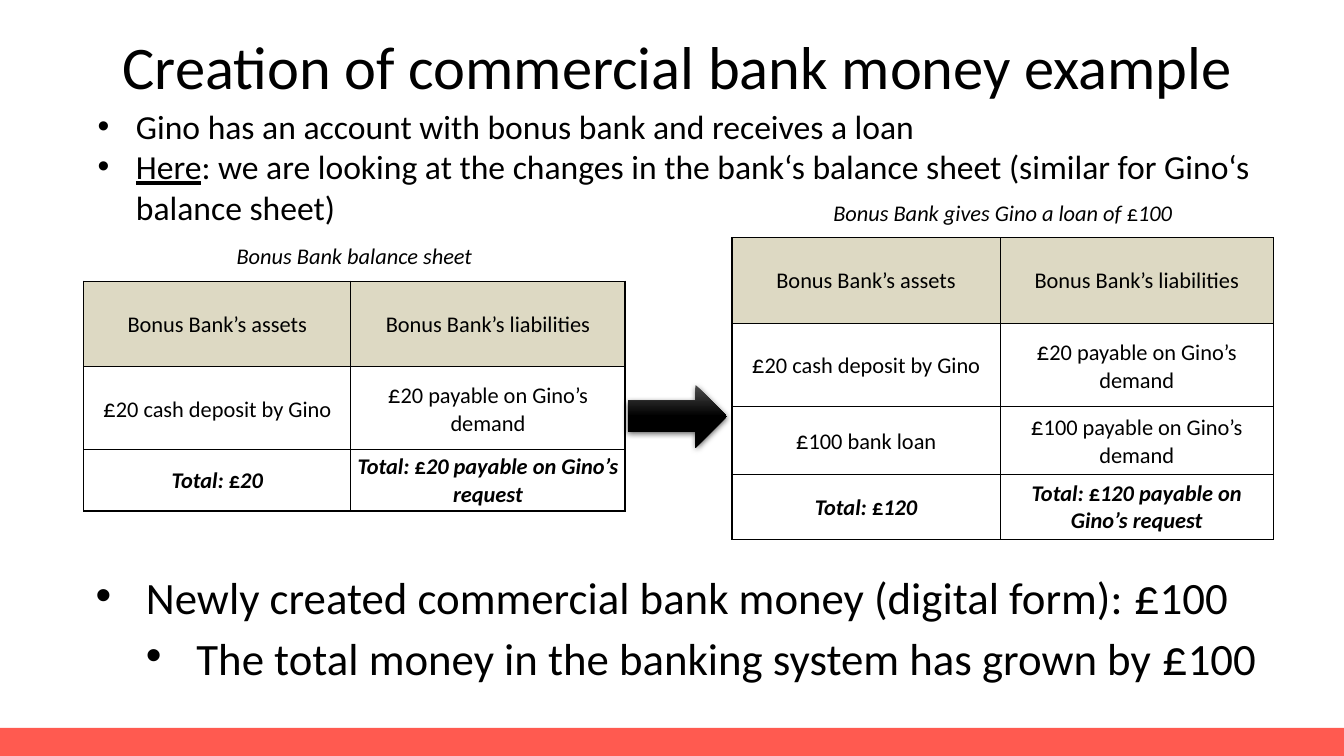
from dataclasses import dataclass

from lxml.etree import SubElement
from pptx import Presentation
from pptx.dml.color import RGBColor as Rgb
from pptx.enum.shapes import MSO_SHAPE as Shape
from pptx.enum.text import MSO_ANCHOR as Anchor, MSO_AUTO_SIZE as AutoSize, PP_ALIGN as Align
from pptx.oxml import parse_xml
from pptx.oxml.ns import nsdecls, qn
from pptx.util import Pt

EMU_PER_PX = 9144  # 100 px to the inch
NO_GRID_STYLE = "{2D5ABB26-0587-4C30-8999-92F81FD0307C}"


@dataclass(frozen=True)
class Theme:
    font: str = "Calibri"
    ink: str = "000000"
    header_fill: str = "DDD9C3"
    bar: str = "FF5A50"
    arrow_top: str = "4B4B4B"
    title: float = 43.2
    intro: int = 24
    conclusion: int = 32
    conclusion_pound: int = 36
    cell: int = 16
    cell_pound: int = 18


def px(*lengths):
    return [length * EMU_PER_PX for length in lengths]


class SlideBuilder:
    def __init__(self, theme, width, height):
        self.theme = theme
        self.deck = Presentation()
        self.deck.slide_width, self.deck.slide_height = px(width, height)
        self.slide = self.deck.slides.add_slide(self.deck.slide_layouts[5])

    def style(self, run, size, **flags):
        font = run.font
        font.name, font.size = self.theme.font, Pt(size)
        font.color.rgb = Rgb.from_string(self.theme.ink)
        for flag in ("bold", "italic", "underline"):
            if flag in flags:
                run._r.get_or_add_rPr()
        font.bold = flags.get("bold")
        font.italic = flags.get("italic")
        font.underline = flags.get("underline")

    def add_text(self, paragraph, text, size, pound_size=None, **flags):
        """Fill a paragraph; the pound sign is upright and may be larger."""
        before, pound, after = text.partition("£")
        for part in filter(None, (before, pound, after)):
            run = paragraph.add_run()
            run.text = part
            self.style(run, size, **flags)
            if part == "£":
                run.font.size, run.font.italic = Pt(pound_size or size), False

    def title(self, text, box):
        title = self.slide.shapes.title
        title.left, title.top, title.width, title.height = px(*box)
        frame = title.text_frame
        frame.text = text
        frame.auto_size, frame.vertical_anchor = AutoSize.NONE, Anchor.MIDDLE
        paragraph = frame.paragraphs[0]
        paragraph.alignment, paragraph.line_spacing = Align.CENTER, 0.9
        self.style(paragraph.runs[0], self.theme.title)

    def bullets(self, items, box, size, hang, pound_size=None):
        """Add (level, underlined lead, text) items as a bulleted list."""
        frame = self.slide.shapes.add_textbox(*px(*box)).text_frame
        frame.word_wrap = True
        for number, (level, lead, text) in enumerate(items):
            paragraph = frame.add_paragraph() if number else frame.paragraphs[0]
            paragraph.level = level
            if lead:
                self.add_text(paragraph, lead, size, underline=True)
            self.add_text(paragraph, text, size, pound_size)
            indent, = px(hang)
            properties = paragraph._p.get_or_add_pPr()
            properties.set("marL", str(indent * (level + 1)))
            properties.set("indent", str(-indent))
            SubElement(properties, qn("a:buFont"), typeface="Arial")
            SubElement(properties, qn("a:buChar"), char="•")

    def border(self, cell, sides):
        properties = cell._tc.get_or_add_tcPr()
        for position, side in enumerate(sides):
            properties.insert(position, parse_xml(
                f'<a:ln{side} {nsdecls("a")} w="12700"><a:solidFill>'
                f'<a:srgbClr val="{self.theme.ink}"/></a:solidFill></a:ln{side}>'))

    def cell(self, cell, text, sides, fill=None, pound_size=None, **flags):
        cell.margin_left, cell.margin_right, cell.margin_top, cell.margin_bottom = px(1, 1, 1, 0)
        cell.vertical_anchor = Anchor.MIDDLE
        if fill:
            cell.fill.solid()
            cell.fill.fore_color.rgb = Rgb.from_string(fill)
        else:
            cell.fill.background()
        self.border(cell, sides)
        paragraph = cell.text_frame.paragraphs[0]
        paragraph.alignment = Align.CENTER
        self.add_text(paragraph, text, self.theme.cell, pound_size, **flags)

    def balance_sheet(self, caption, entries, totals, left, top, columns, heights):
        rows = [("Bonus Bank’s assets", "Bonus Bank’s liabilities"), *entries, totals]
        table = self.slide.shapes.add_table(
            len(heights), len(columns), *px(left, top, sum(columns), sum(heights))).table
        table.first_row = table.horz_banding = False
        table._tbl.tblPr.find(qn("a:tableStyleId")).text = NO_GRID_STYLE
        for column, width in zip(table.columns, px(*columns)):
            column.width = width
        for row, height in zip(table.rows, px(*heights)):
            row.height = height

        # Caption spans the sheet and only has a bottom border
        table.cell(0, 0).merge(table.cell(0, 1))
        self.cell(table.cell(0, 0), caption, "B", italic=True)
        self.border(table.cell(0, 1), "B")

        for r, texts in enumerate(rows, start=1):
            if r == 1:
                look = {"fill": self.theme.header_fill}
            elif r == len(rows):
                look = {"bold": True, "italic": True}
            else:
                look = {"pound_size": self.theme.cell_pound}
            for c, text in enumerate(texts):
                self.cell(table.cell(r, c), text, "LRTB", **look)

    def shape(self, kind, box):
        shape = self.slide.shapes.add_shape(kind, *px(*box))
        shape.shadow.inherit = False
        shape.line.fill.background()
        return shape

    def bar(self, box):
        fill = self.shape(Shape.RECTANGLE, box).fill
        fill.solid()
        fill.fore_color.rgb = Rgb.from_string(self.theme.bar)

    def arrow(self, box):
        arrow = self.shape(Shape.RIGHT_ARROW, box)
        arrow.fill.gradient()
        arrow.fill.gradient_angle = 270
        stops = zip(arrow.fill.gradient_stops, (self.theme.arrow_top, self.theme.ink), (0, 0.5))
        for stop, color, position in stops:
            stop.color.rgb, stop.position = Rgb.from_string(color), position
        effects = arrow._element.spPr.find(qn("a:effectLst"))
        effects.append(parse_xml(
            f'<a:outerShdw {nsdecls("a")} blurRad="57150" dist="19050" dir="5400000" '
            f'algn="ctr" rotWithShape="0"><a:srgbClr val="{self.theme.ink}">'
            '<a:alpha val="63000"/></a:srgbClr></a:outerShdw>'))


def main():
    theme = Theme()
    page = SlideBuilder(theme, 1333, 750)

    # Footer bar and title
    page.bar((0, 722, 1333, 28))
    page.title("Creation of commercial bank money example", (97, 18, 1150, 102))

    # Balance sheet after the loan
    deposit = ("£20 cash deposit by Gino", "£20 payable on Gino’s demand")
    loan = ("£100 bank loan", "£100 payable on Gino’s demand")
    page.balance_sheet(
        "Bonus Bank gives Gino a loan of £100", [deposit, loan],
        ("Total: £120", "Total: £120 payable on Gino’s request"),
        726, 187, (266, 271), (49, 85, 82, 68, 64))

    # Conclusion
    page.bullets([
        (0, "", "Newly created commercial bank money (digital form): £100"),
        (1, "", "The total money in the banking system has grown by £100"),
    ], (85, 555, 1180, 131), theme.conclusion, 50, theme.conclusion_pound)

    # Balance sheet before the loan
    page.balance_sheet(
        "Bonus Bank balance sheet", [deposit],
        ("Total: £20", "Total: £20 payable on Gino’s request"),
        83, 230, (265, 272), (49, 85, 82, 61))

    # Introduction
    page.bullets([
        (0, "", "Gino has an account with bonus bank and receives a loan"),
        (0, "Here", ": we are looking at the changes in the bank‘s balance sheet "
                    "(similar for Gino‘s balance sheet)"),
    ], (87, 100, 1177, 131), theme.intro, 38)

    # Step from the first sheet to the second
    page.arrow((623, 382, 98, 62))

    page.deck.save("out.pptx")


if __name__ == "__main__":
    main()
